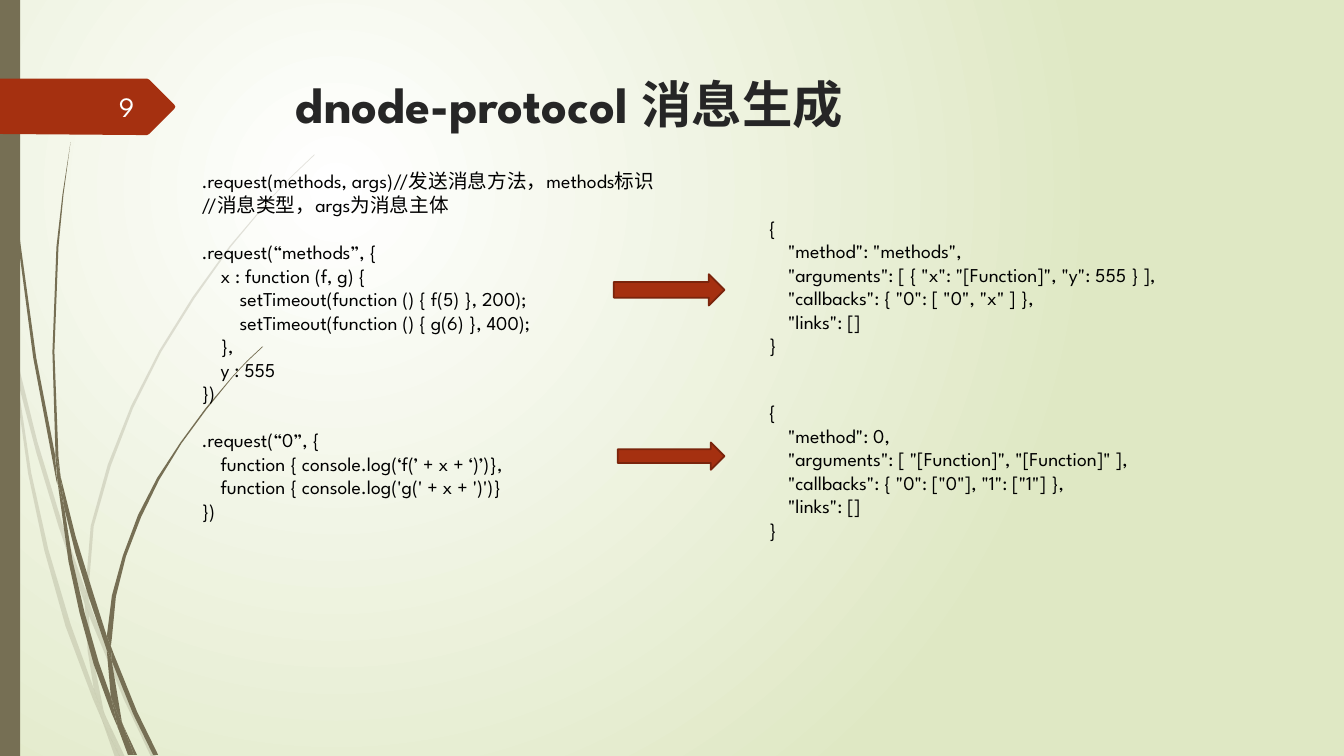
"""Build the slide on how dnode-protocol messages are generated."""
from lxml.etree import SubElement
from pptx import Presentation
from pptx.dml.color import RGBColor
from pptx.enum.shapes import MSO_SHAPE as Kind
from pptx.enum.text import MSO_ANCHOR as Anchor, PP_ALIGN as Align
from pptx.oxml.ns import qn
from pptx.util import Cm, Pt

FONT = "League Spartan"
BLACK = RGBColor(0, 0, 0)
DARK = RGBColor(0x26, 0x26, 0x26)
PALE = RGBColor(0xFE, 0xFF, 0xFF)
WHITE = RGBColor(0xFF, 0xFF, 0xFF)
GREEN = RGBColor(0xDF, 0xE8, 0xC4)
OLIVE = RGBColor(0x76, 0x6F, 0x54)
RUST = RGBColor(0xA5, 0x30, 0x10)
EDGE = RGBColor(0x7A, 0x24, 0x0C)

# Outline points are hundredths of an inch.
UNIT = Cm(2.54) / 100
FAINT = [
    [(11, 350), (9, 322), (0, 282), (0, 299), (10, 344)],
    [(58, 522), (84, 599), (85, 586), (62, 520), (37, 438), (14, 345), (17, 376), (36, 449)],
    [(92, 607), (88, 596), (88, 610), (123, 694), (150, 751), (155, 751), (127, 692)],
    [(119, 751), (124, 751), (105, 711)],
    [(93, 683), (70, 619), (48, 545), (31, 469), (17, 376), (11, 350), (28, 470),
     (44, 546), (65, 621), (92, 693), (101, 714), (99, 707)],
    [(84, 599), (87, 646), (93, 683), (96, 692), (105, 711), (103, 706), (91, 646),
     (88, 610), (88, 608)],
    [(88, 584), (93, 522), (110, 462), (132, 405), (160, 349), (193, 296), (229, 245),
     (268, 198), (290, 175), (312, 154), (312, 153), (289, 175), (268, 197), (228, 244),
     (191, 295), (158, 348), (130, 403), (107, 461), (90, 522), (85, 584), (85, 586), (88, 596)],
    [(101, 714), (114, 751), (119, 751)],
    [(88, 608), (88, 610), (88, 596), (85, 586), (84, 599)],
    [(96, 692), (93, 683), (99, 707), (101, 714), (119, 751), (105, 711)],
]
BOLD = [
    [(7, 110), (17, 233), (33, 355), (56, 477), (57, 481), (55, 457), (55, 453), (36, 355),
     (19, 232), (8, 109), (5, 48), (4, 0), (3, 0), (4, 48)],
    [(88, 592), (106, 645), (106, 631), (93, 590), (75, 532), (60, 472), (64, 505), (75, 549)],
    [(113, 649), (110, 641), (111, 656), (132, 708), (152, 749), (157, 749), (136, 706)],
    [(110, 691), (98, 657), (84, 608), (72, 556), (64, 505), (57, 477), (68, 557),
     (79, 608), (93, 659), (111, 708), (117, 722), (116, 717)],
    [(60, 472), (58, 453), (54, 349), (58, 245), (63, 193), (70, 141), (62, 193),
     (56, 245), (52, 349), (55, 449)],
    [(133, 749), (136, 749), (122, 719)],
    [(57, 477), (64, 505), (60, 472), (55, 449), (55, 453)],
    [(111, 633), (115, 592), (125, 552), (140, 513), (158, 476), (180, 440), (205, 406),
     (231, 374), (245, 359), (261, 344), (260, 344), (245, 358), (231, 373), (204, 405),
     (179, 439), (156, 474), (137, 511), (122, 551), (111, 591), (106, 631), (110, 641)],
    [(117, 722), (127, 749), (131, 749)],
    [(106, 645), (110, 691), (116, 706), (122, 719), (121, 716), (111, 656), (109, 651)],
    [(106, 645), (109, 651), (111, 656), (110, 641), (106, 631), (106, 633)],
    [(116, 706), (110, 691), (116, 717), (117, 722), (130, 749), (133, 749), (122, 719)],
]
BADGE = [(173, 108), (148, 133), (146, 134), (136, 134), (0, 133), (0, 78), (146, 78),
         (148, 79), (173, 104), (174, 106)]

CALLS = [
    [(0, ".request(methods, args)//发送消息方法，methods标识\v//消息类型，args为消息主体")],
    [(0, ".request(“methods”, {"),
     (1, "x : function (f, g) {"),
     (2, "setTimeout(function () { f(5) }, 200);"),
     (2, "setTimeout(function () { g(6) }, 400);"),
     (1, "},"),
     (1, "y : 555"),
     (0, "})")],
    [(0, ".request(“0”, {"),
     (1, "function { console.log(‘f(’ + x + ‘)’)},"),
     (1, "function { console.log('g(' + x + ')')}"),
     (0, "})")],
]
FIRST = ['"method": "methods",',
         '"arguments": [ { "x": "[Function]", "y": 555 } ],',
         '"callbacks": { "0": [ "0", "x" ] },',
         '"links": []']
NEXT = ['"method": 0,',
        '"arguments": [ "[Function]", "[Function]" ],',
        '"callbacks": { "0": ["0"], "1": ["1"] },',
        '"links": []']
ARROWS = [(15.47, 6.91, 2.79, 0.79), (15.57, 11.15, 2.69, 0.69)]
TAB = Cm(0.48)
GAP = Pt(16.9)

deck = Presentation()
deck.slide_width, deck.slide_height = Cm(33.87), Cm(19.05)
slide = deck.slides.add_slide(deck.slide_layouts[6])
shapes = slide.shapes


def paint(shape, color, edge=None):
    shape.shadow.inherit = False
    shape.fill.solid()
    shape.fill.fore_color.rgb = color
    if edge:
        shape.line.color.rgb = edge
        shape.line.width = Pt(1.25)
    else:
        shape.line.fill.background()


def trace(points, color, alpha=None):
    pen = shapes.build_freeform(*points[0], scale=UNIT)
    pen.add_line_segments(points[1:], close=True)
    shape = pen.convert_to_shape()
    paint(shape, color)
    if alpha:
        tint = next(shape.element.spPr.iter(qn("a:srgbClr")))
        SubElement(tint, qn("a:alpha"), val=str(alpha * 1000))


def write(box, blocks, size=14, color=BLACK, bold=False, align=Align.LEFT, anchor=Anchor.TOP):
    frame = shapes.add_textbox(*map(Cm, box)).text_frame
    frame.word_wrap = True
    frame.vertical_anchor = anchor
    para = None
    for num, block in enumerate(blocks):
        for row, (depth, text) in enumerate(block):
            para = frame.add_paragraph() if para else frame.paragraphs[0]
            para.text = text
            para.alignment = align
            para.space_before = GAP if num and not row else Pt(0)
            para.font.name, para.font.size = FONT, Pt(size)
            para.font.color.rgb, para.font.bold = color, bold
            if depth:
                props = para.font._element.getparent()
                props.set("marL", str(depth * TAB))
                props.set("indent", "0")


def wrap(lines):
    return [[(0, "{"), *((1, line) for line in lines), (0, "}")]]


back = slide.background.fill
back.gradient()
for stop, color in zip(back.gradient_stops, (WHITE, GREEN)):
    stop.color.rgb = color
grad = next(slide.element.iter(qn("a:gradFill")))
grad.remove(grad.find(qn("a:lin")))
ring = SubElement(grad, qn("a:path"), {"path": "circle"})
SubElement(ring, qn("a:fillToRect"), l="50000", t="50000", r="100000", b="100000")

for blade in FAINT:
    trace(blade, OLIVE, 20)
for blade in BOLD:
    trace(blade, OLIVE)
paint(shapes.add_shape(Kind.RECTANGLE, 0, 0, Cm(0.51), deck.slide_height), OLIVE)
trace(BADGE, RUST)

write((1.47, 2.18, 2.16, 1.02), [[(0, "9")]], 20, PALE, align=Align.RIGHT, anchor=Anchor.MIDDLE)
write((7.21, 1.73, 24.77, 3.56), [[(0, "dnode-protocol 消息生成")]], 36, DARK, bold=True)
write((4.83, 4.14, 13.44, 10.01), CALLS)
write((19.13, 5.31, 11.94, 3.84), wrap(FIRST))
write((19.13, 9.96, 12.83, 3.84), wrap(NEXT))
for box in ARROWS:
    paint(shapes.add_shape(Kind.RIGHT_ARROW, *map(Cm, box)), RUST, EDGE)

deck.save("out.pptx")
